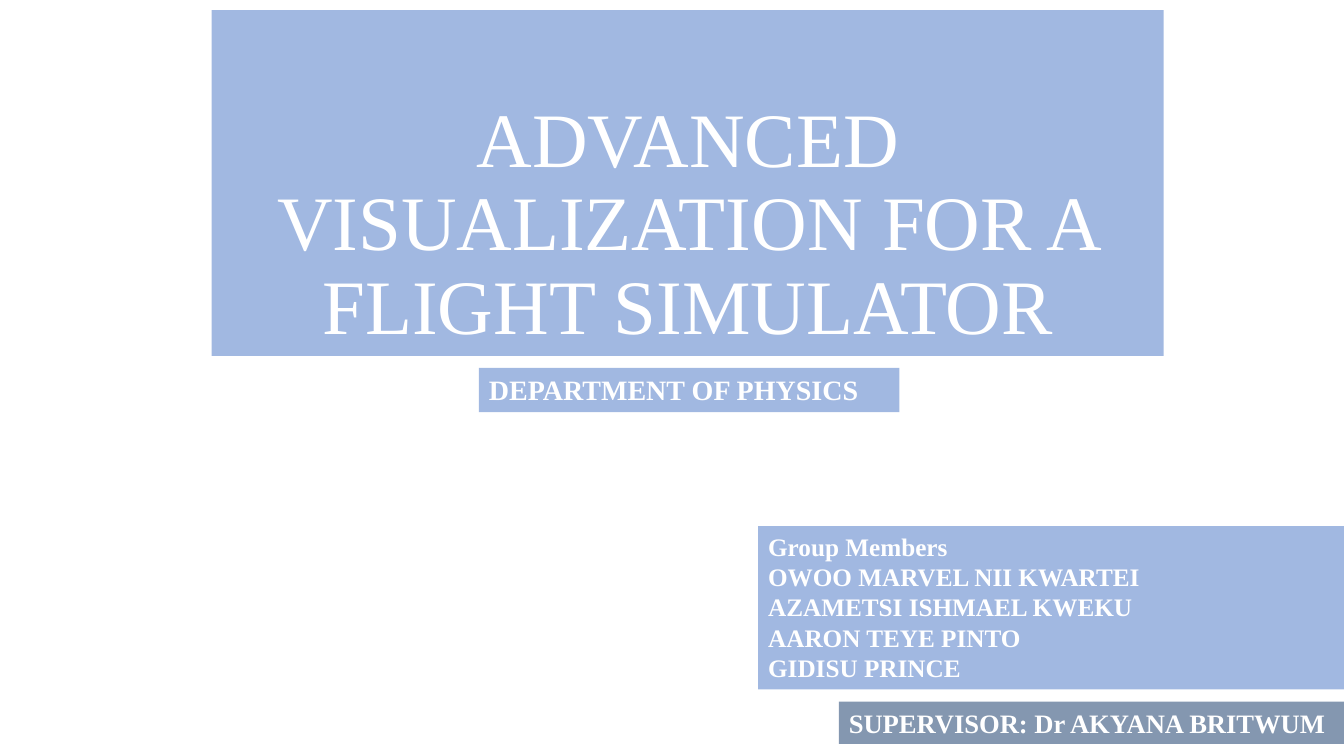
from pptx import Presentation, util as u
from pptx.dml.color import RGBColor
from pptx.enum import text
from pptx.oxml.ns import qn
from lxml import etree

THEME = {
    "font": "Times New Roman",
    "ink": "FFFFFF",
    "blue": "4472C4",
    "slate": "8497B0",
    "title": 55,
    "dept": 20,
    "group": 18,
    "guide": 19,
}
WIDE, HIGH = 13.33, 7.5

deck = Presentation()
deck.slide_width, deck.slide_height = u.Inches(WIDE), u.Inches(HIGH)
slide = deck.slides.add_slide(deck.slide_layouts[0])
title, sub = slide.placeholders
sub.element.getparent().remove(sub.element)


def paint(shape, color, alpha=None):
    shape.fill.solid()
    shape.fill.fore_color.rgb = RGBColor.from_string(THEME[color])
    if alpha:
        tint = shape.element.spPr.find(qn("a:solidFill"))[0]
        etree.SubElement(tint, qn("a:alpha"), val=str(alpha * 1000))


def write(frame, lines, size, bold):
    frame.word_wrap = True
    for i, line in enumerate(lines):
        para = frame.add_paragraph() if i else frame.paragraphs[0]
        run = para.add_run()
        run.text = line
        run.font.name = THEME["font"]
        run.font.size = u.Pt(THEME[size])
        run.font.bold = bold
        run.font.color.rgb = RGBColor.from_string(THEME["ink"])


# Title
title.left, title.top = u.Inches(2.1), u.Inches(0.1)
title.width, title.height = u.Inches(9.44), u.Inches(3.43)
paint(title, "blue", 50)
frame = title.text_frame
write(frame, ["ADVANCED VISUALIZATION FOR A FLIGHT SIMULATOR"], "title", False)
frame.auto_size = text.MSO_AUTO_SIZE.NONE
frame.vertical_anchor = text.MSO_ANCHOR.BOTTOM
frame.paragraphs[0].alignment = text.PP_ALIGN.CENTER
frame.paragraphs[0].line_spacing = 0.9

# Labels: left, top, width, height, color, alpha, size, lines
labels = [
    (8.32, 6.96, WIDE - 8.32, 0.42, "slate", None, "guide",
     ["SUPERVISOR: Dr AKYANA BRITWUM"]),
    (7.52, 5.22, WIDE - 7.52, 1.62, "blue", 50, "group",
     ["Group Members", "OWOO MARVEL NII KWARTEI", "AZAMETSI ISHMAEL KWEKU",
      "AARON TEYE PINTO", "GIDISU PRINCE"]),
    (4.75, 3.65, 4.17, 0.44, "blue", 50, "dept",
     ["DEPARTMENT OF PHYSICS"]),
]
for *place, color, alpha, size, lines in labels:
    box = slide.shapes.add_textbox(*map(u.Inches, place))
    paint(box, color, alpha)
    write(box.text_frame, lines, size, True)
    box.text_frame.auto_size = text.MSO_AUTO_SIZE.SHAPE_TO_FIT_TEXT

deck.save("out.pptx")
